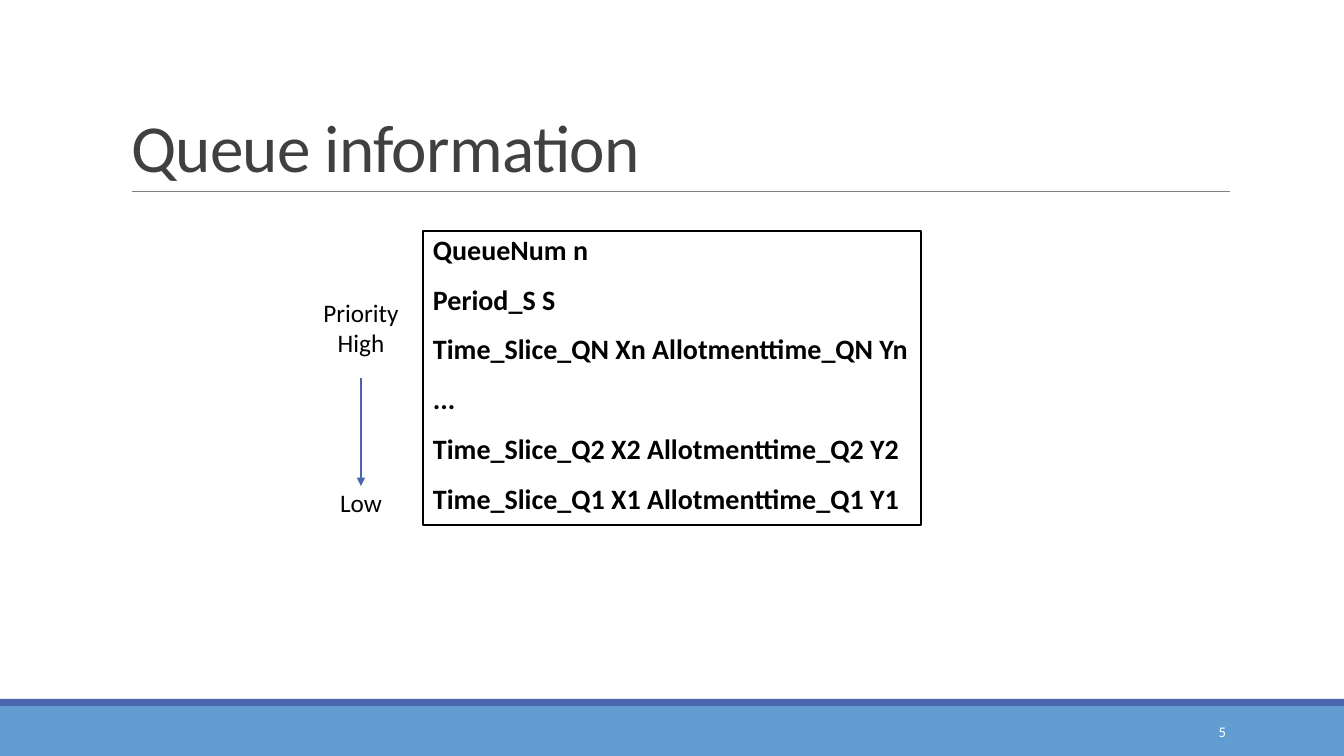
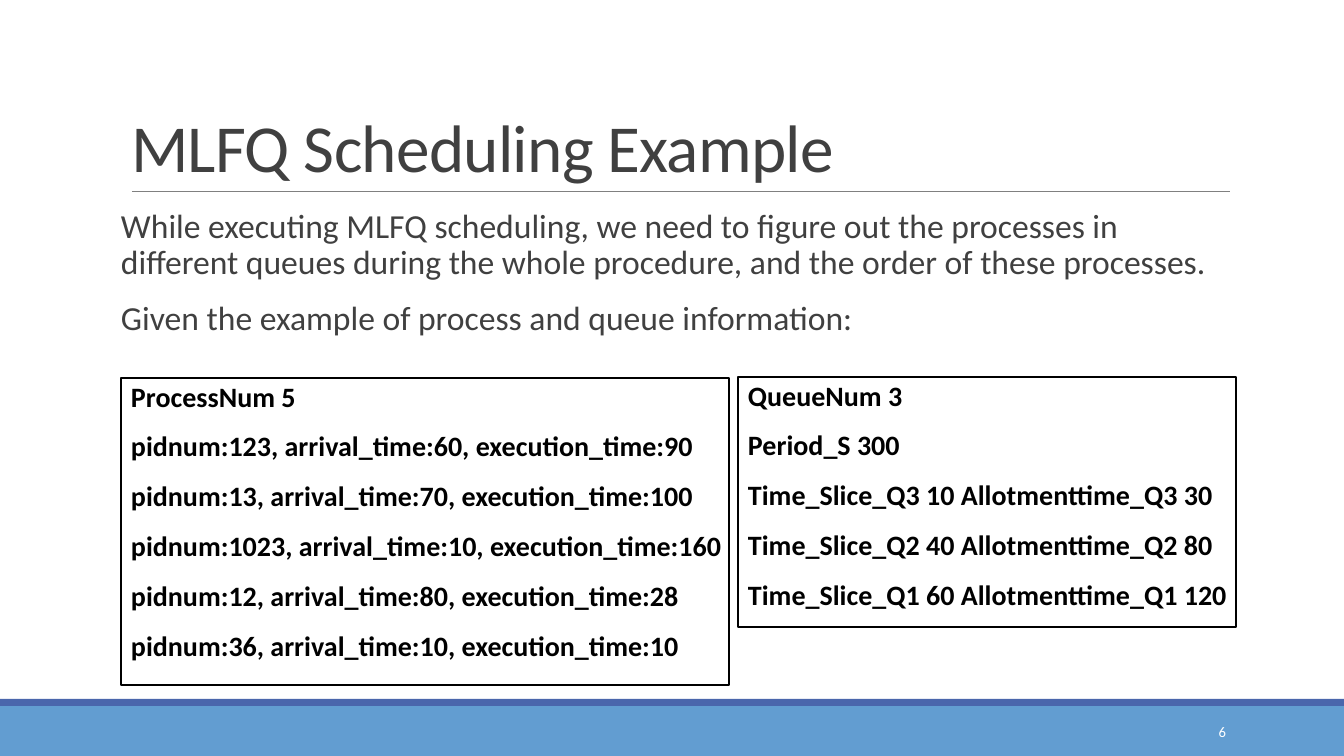
from pptx import Presentation
from pptx import util as u
from pptx.dml.color import RGBColor
from pptx.enum import shapes, text
from pptx.oxml.ns import qn
from lxml import etree

PX_PER_INCH = 100.8
SLIDE_SIZE = (1344, 756)
FONT = "Calibri"
BLACK, WHITE, GREY, RULE_GREY = "000000", "FFFFFF", "404040", "808080"
BAND_BLUE, ACCENT_BLUE = "629DD1", "4A66AC"

TITLE_BOX = (121, 31, 1109, 160)
BODY_SPACING = {
    "line_spacing": 0.9,
    "space_before": u.Pt(12),
    "space_after": u.Pt(2),
    "alignment": text.PP_ALIGN.LEFT,
}
TITLE_SPACING = {"line_spacing": 0.85, "alignment": text.PP_ALIGN.LEFT}
CENTRED = {"alignment": text.PP_ALIGN.CENTER}
RIGHT = {"alignment": text.PP_ALIGN.RIGHT}


def px(length):
    return u.Emu(round(length * 914400 / PX_PER_INCH))


def colour(hex_string):
    return RGBColor.from_string(hex_string)


def set_attributes(target, values):
    for name, value in values.items():
        setattr(target, name, value)


def place(shape, box):
    sides = ("left", "top", "width", "height")
    set_attributes(shape, dict(zip(sides, map(px, box))))


def write(shape, lines, size, ink, spacing, bold=False, tracking=0, **frame_format):
    """Fill a shape with one unbulleted paragraph per line."""
    frame = shape.text_frame
    frame.text = "\n".join(lines)
    set_attributes(frame, {"word_wrap": True, "auto_size": text.MSO_AUTO_SIZE.NONE,
                           **frame_format})
    for paragraph in frame.paragraphs:
        set_attributes(paragraph, spacing)
        properties = paragraph._p.get_or_add_pPr()
        properties.set("marL", "0")
        properties.set("indent", "0")
        etree.SubElement(properties, qn("a:buNone"))
        for run in paragraph.runs:
            set_attributes(run.font, {"name": FONT, "size": u.Pt(size), "bold": bold})
            run.font.color.rgb = colour(ink)
            if tracking:
                run._r.get_or_add_rPr().set("spc", str(tracking))


def add_label(slide, box, lines, size, ink, spacing, **frame_format):
    label = slide.shapes.add_textbox(*map(px, box))
    write(label, lines, size, ink, spacing, **frame_format)


def add_line(slide, start, end, ink, width, arrow=False):
    line = slide.shapes.add_connector(
        shapes.MSO_CONNECTOR.STRAIGHT, *map(px, start + end))
    line.line.color.rgb = colour(ink)
    line.line.width = u.Pt(width)
    if arrow:
        etree.SubElement(line.line._get_or_add_ln(), qn("a:tailEnd"), type="triangle")
    etree.SubElement(line._element.spPr, qn("a:effectLst"))


def add_band(slide, box, fill):
    band = slide.shapes.add_shape(shapes.MSO_SHAPE.RECTANGLE, *map(px, box))
    band.shadow.inherit = False
    band.fill.solid()
    band.fill.fore_color.rgb = colour(fill)
    band.line.fill.background()


def add_base_slide(presentation, title, number):
    """Add a slide with title, rule, footer bands and page number."""
    slide = presentation.slides.add_slide(presentation.slide_layouts[1])
    place(slide.shapes.title, TITLE_BOX)
    write(slide.shapes.title, [title], 48, GREY, TITLE_SPACING, tracking=-50,
          vertical_anchor=text.MSO_ANCHOR.BOTTOM)
    add_band(slide, (0, 706, 1344, 50), BAND_BLUE)
    add_band(slide, (0, 699, 1344, 7), ACCENT_BLUE)
    add_line(slide, (132, 191), (1230, 191), RULE_GREY, 0.5)
    add_label(slide, (1092, 712, 144, 40), [str(number)], 10.5, WHITE, RIGHT,
              vertical_anchor=text.MSO_ANCHOR.MIDDLE)
    return slide


def fill_code_box(shape, box, lines):
    place(shape, box)
    shape.fill.solid()
    shape.fill.fore_color.rgb = colour(WHITE)
    shape.line.color.rgb = colour(BLACK)
    shape.line.width = u.Pt(1.25)
    write(shape, lines, 20, BLACK, BODY_SPACING, bold=True,
          margin_left=px(10), margin_right=0)


def add_priority_scale(slide, box):
    """Draw an arrow from high to low priority down the middle of the box."""
    left, top, width, height = box
    middle = left + width // 2
    add_label(slide, (left, top, width, 72), ["Priority", "High"], 18, BLACK,
              CENTRED, word_wrap=False)
    add_line(slide, (middle, top + 86), (middle, top + height - 36),
             ACCENT_BLUE, 1, arrow=True)
    add_label(slide, (left, top + height - 40, width, 40), ["Low"], 18, BLACK,
              CENTRED, word_wrap=False)


def add_queue_slide(presentation):
    slide = add_base_slide(presentation, "Queue information", 5)
    fill_code_box(slide.placeholders[1], (423, 231, 498, 294), [
        "QueueNum n",
        "Period_S S",
        "Time_Slice_QN Xn Allotmenttime_QN Yn",
        "...",
        "Time_Slice_Q2 X2 Allotmenttime_Q2 Y2",
        "Time_Slice_Q1 X1 Allotmenttime_Q1 Y1",
    ])
    add_priority_scale(slide, (313, 292, 96, 230))


def add_example_slide(presentation):
    slide = add_base_slide(presentation, "MLFQ Scheduling Example", 6)
    introduction = slide.placeholders[1]
    place(introduction, (121, 204, 1115, 173))
    write(introduction, [
        "While executing MLFQ scheduling, we need to figure out the processes in "
        "different queues during the whole procedure, and the order of these processes.",
        "Given the example of process and queue information:",
    ], 24, GREY, BODY_SPACING, margin_left=0, margin_right=0)

    processes = [(123, 60, 90), (13, 70, 100), (1023, 10, 160), (12, 80, 28), (36, 10, 10)]
    queues = [(3, 10, 30), (2, 40, 80), (1, 60, 120)]
    process_lines = [f"ProcessNum {len(processes)}"] + [
        f"pidnum:{pid}, arrival_time:{arrival}, execution_time:{execution}"
        for pid, arrival, execution in processes]
    queue_lines = [f"QueueNum {len(queues)}", "Period_S 300"] + [
        f"Time_Slice_Q{queue} {time_slice} Allotmenttime_Q{queue} {allotment}"
        for queue, time_slice, allotment in queues]
    for box, lines in (((121, 378, 608, 307), process_lines),
                       ((738, 377, 498, 250), queue_lines)):
        fill_code_box(slide.shapes.add_textbox(*map(px, box)), box, lines)


def main():
    presentation = Presentation()
    presentation.slide_width, presentation.slide_height = map(px, SLIDE_SIZE)
    add_queue_slide(presentation)
    add_example_slide(presentation)
    presentation.save("out.pptx")


if __name__ == "__main__":
    main()
